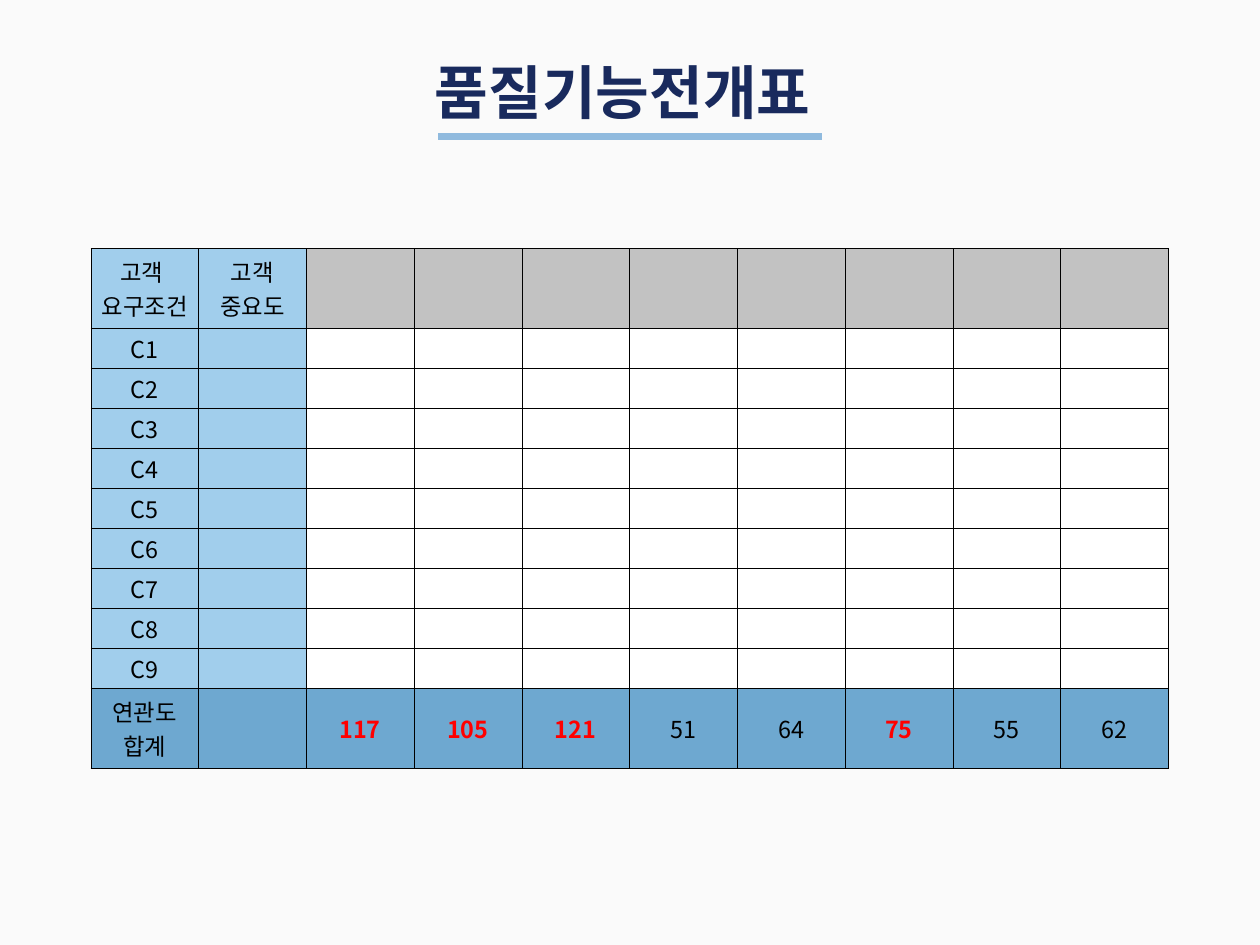
from lxml.etree import SubElement
from pptx import Presentation
from pptx.dml.color import RGBColor
from pptx.enum.text import MSO_ANCHOR as Anchor, PP_ALIGN as Align
from pptx.oxml.ns import qn
from pptx.util import Inches, Pt

FONT = "Noto Sans CJK KR"
PAPER = RGBColor(0xFA, 0xFA, 0xFA)
NAVY = RGBColor(0x19, 0x2A, 0x5D)
RULE = RGBColor(0x90, 0xBA, 0xDE)
LIGHT_BLUE = RGBColor(0xA1, 0xCE, 0xEC)
MID_BLUE = RGBColor(0x6E, 0xA8, 0xD0)
GRAY = RGBColor(0xC2, 0xC2, 0xC2)
WHITE = RGBColor(0xFF, 0xFF, 0xFF)
BLACK = RGBColor(0, 0, 0)
RED = RGBColor(0xFF, 0, 0)

TITLE_BOX = (5.08, 0.62, 4.83, 1.78)
TABLE_BOX = (1.08, 2.96, 12.83, 6.19)
LABEL_COLUMNS = 2
TOTALS = [117, 105, 121, 51, 64, 75, 55, 62]
KEY_TOTAL = 75  # totals from here up stand out
ROWS = [
    ["고객 \n요구조건", "고객\n중요도"] + [""] * len(TOTALS),
    *[[f"C{number}"] + [""] * (len(TOTALS) + 1) for number in range(1, 10)],
    ["연관도\n합계", "", *map(str, TOTALS)],
]
ROW_UNITS = [2] + [1] * 9 + [2]
CELL_FORMAT = {
    "vertical_anchor": Anchor.MIDDLE,
    "margin_left": Inches(0.07), "margin_right": Inches(0.07),
    "margin_top": Inches(0.02), "margin_bottom": Inches(0.02),
}


def set_format(target, values):
    for name, value in values.items():
        setattr(target, name, value)


def write_line(para, text, size, color, bold=False):
    span = para.add_run()
    span.text = text
    set_format(span.font, {"name": FONT, "size": Pt(size), "bold": bold})
    span.font.color.rgb = color
    SubElement(span.font._element, qn("a:ea"), typeface=FONT)


def add_title(page, box):
    left, top, width, height = box
    title = page.shapes.add_textbox(*map(Inches, box))
    title.text_frame.word_wrap = True
    write_line(title.text_frame.paragraphs[0], "품질기능전개표", 50, NAVY, True)

    # Underline
    inset, drop = 0.14, 1
    start, end, level = map(Inches, (left + inset, left + width - inset + 0.01, top + drop))
    underline = page.shapes.add_connector(1, start, level, end, level)
    underline.line.color.rgb = RULE
    underline.line.width = Pt(6)
    SubElement(underline._element.spPr, qn("a:effectLst"))


def add_borders(cell):
    props = cell._tc.get_or_add_tcPr()
    for side in ("lnL", "lnR", "lnT", "lnB"):
        border = SubElement(props, qn(f"a:{side}"), w=str(Pt(0.28)))
        fill = SubElement(border, qn("a:solidFill"))
        SubElement(fill, qn("a:srgbClr"), val=str(BLACK))


def cell_color(row, column):
    if row == len(ROWS) - 1:
        return MID_BLUE
    if column < LABEL_COLUMNS:
        return LIGHT_BLUE
    return GRAY if row == 0 else WHITE


def add_matrix(page, box):
    width, height = box[2:]
    frame = page.shapes.add_table(len(ROWS), len(ROWS[0]), *map(Inches, box))
    table = frame.table
    for column in table.columns:
        column.width = Inches(width / len(ROWS[0]))
    for row, units in zip(table.rows, ROW_UNITS):
        row.height = Inches(height * units / sum(ROW_UNITS))

    for r, texts in enumerate(ROWS):
        for c, text in enumerate(texts):
            cell = table.cell(r, c)
            set_format(cell, CELL_FORMAT)
            add_borders(cell)
            cell.fill.solid()
            cell.fill.fore_color.rgb = cell_color(r, c)
            if not text:
                continue
            key = text.isdigit() and int(text) >= KEY_TOTAL
            for index, line in enumerate(text.split("\n")):
                lines = cell.text_frame
                para = lines.add_paragraph() if index else lines.paragraphs[0]
                para.alignment = Align.CENTER
                write_line(para, line, 20, RED if key else BLACK, key)


def main():
    deck = Presentation()
    deck.slide_width, deck.slide_height = Inches(15), Inches(11.25)
    page = deck.slides.add_slide(deck.slide_layouts[6])
    page.background.fill.solid()
    page.background.fill.fore_color.rgb = PAPER
    add_title(page, TITLE_BOX)
    add_matrix(page, TABLE_BOX)
    deck.save("out.pptx")


if __name__ == "__main__":
    main()
